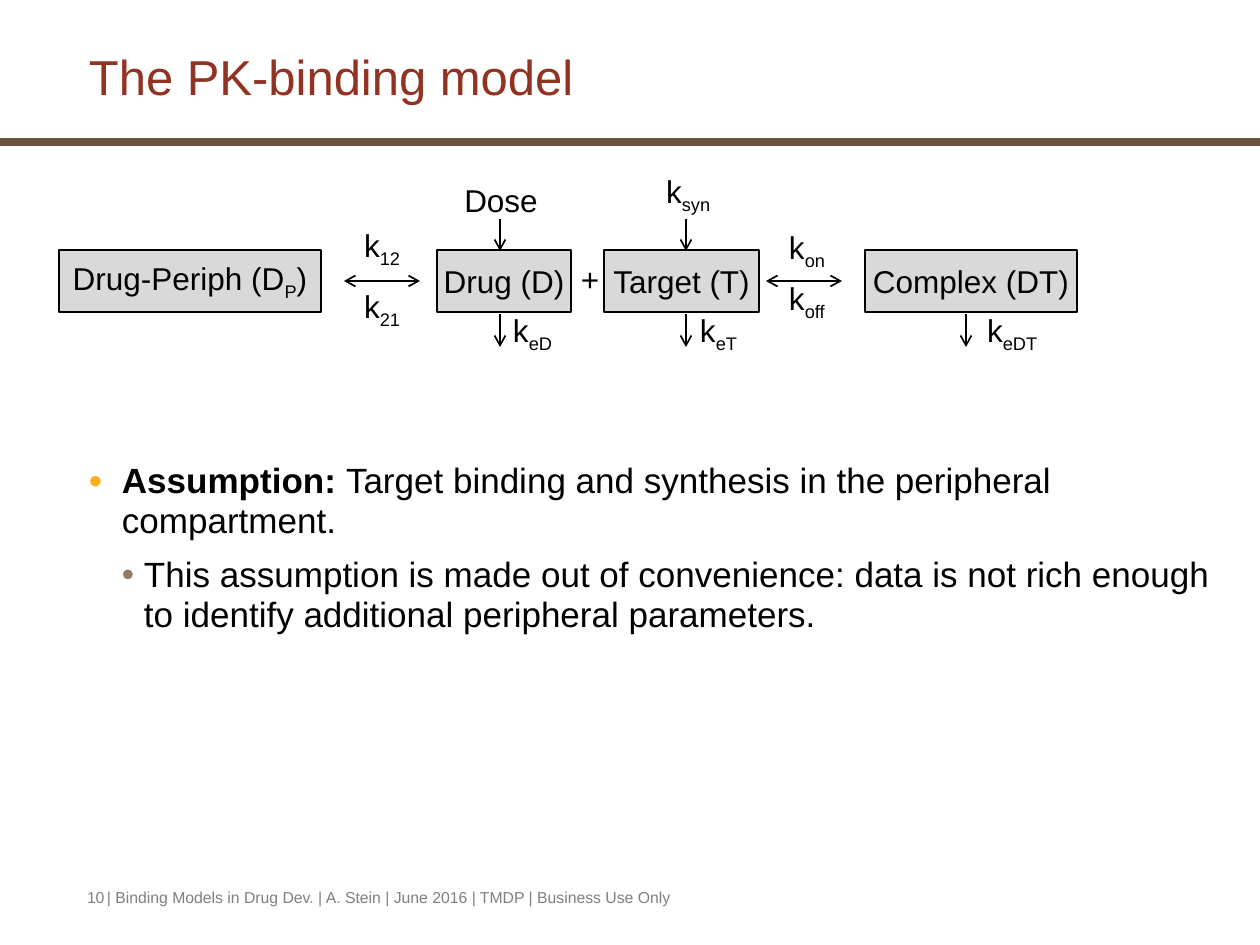
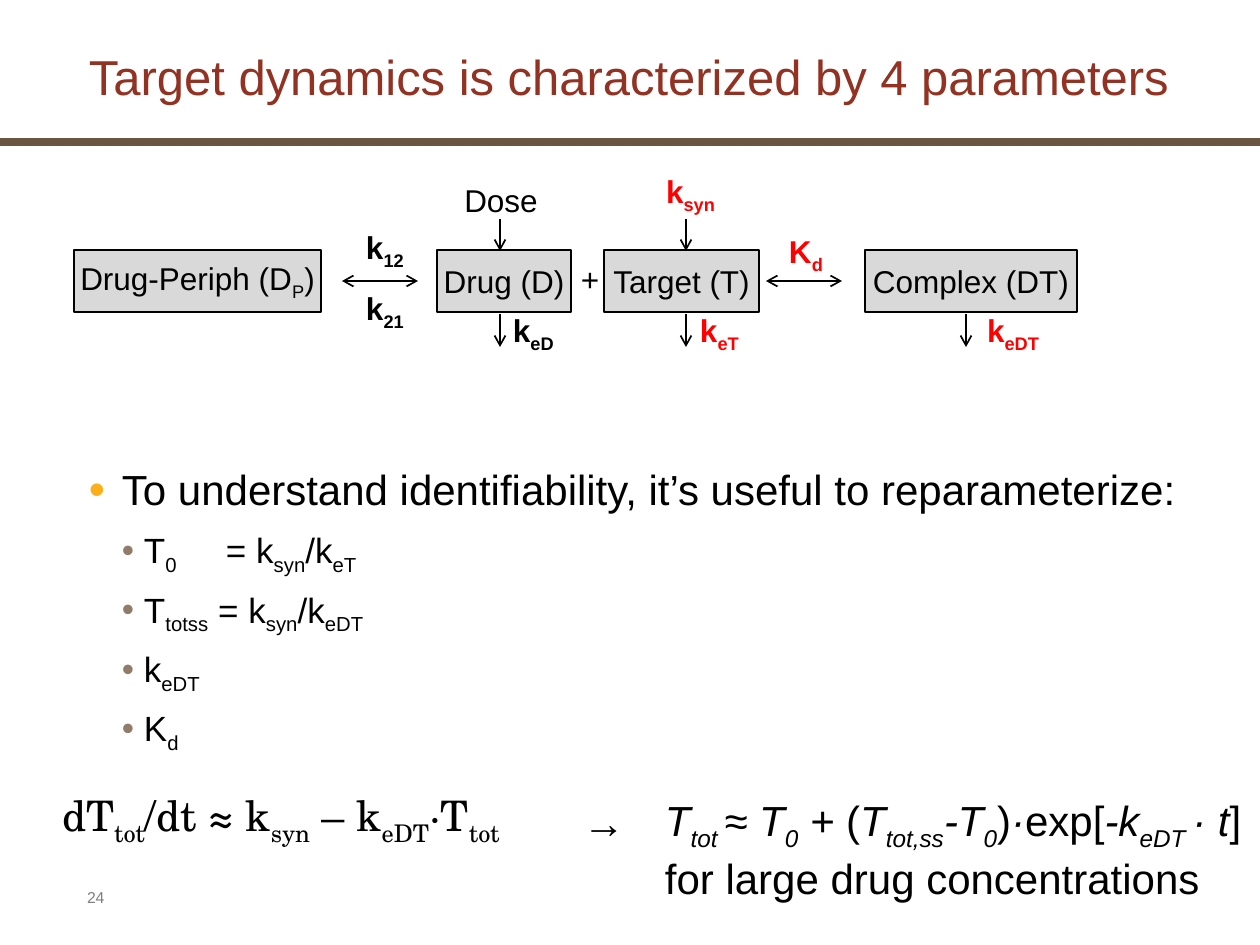
"""Build two slides on the PK-binding model and its target dynamics."""
from lxml import etree
from pptx import Presentation
from pptx.dml.color import RGBColor
from pptx.enum.shapes import MSO_CONNECTOR, MSO_SHAPE
from pptx.enum.text import MSO_ANCHOR, PP_ALIGN
from pptx.oxml.ns import qn
from pptx.util import Emu, Pt

EMU_PER_PX = 914400 / 126
SLIDE_WIDTH, SLIDE_HEIGHT = 1260, 945
STRAIGHT = MSO_CONNECTOR.STRAIGHT
RECTANGLE = MSO_SHAPE.RECTANGLE
TOP, MIDDLE = MSO_ANCHOR.TOP, MSO_ANCHOR.MIDDLE
LEFT, CENTER = PP_ALIGN.LEFT, PP_ALIGN.CENTER

FONT, FORMULA_FONT = "Arial", "TeX Gyre Schola"
BLACK, RED, GRAY = "000000", "FF0000", "7F7F7F"
TITLE_COLOR, BAND_COLOR, BOX_COLOR = "923222", "6A5540", "D9D9D9"
SUBSCRIPT = "-25000"
DEFAULT_INSETS = (13, 6)

BOX_TOP, BOX_HEIGHT = 250, 62
ARROW_Y = 281
ARROW_LENGTH = 76
PERIPHERY_RIGHT = 321
COMPARTMENTS = [("Drug (D)", 437, 134), ("Target (T)", 604, 155), ("Complex (DT)", 865, 212)]
INPUT_XS = (500, 686)
ELIMINATION_XS = (500, 686, 966)
RATE_PLACES = {
    "k_{syn}": (653, 166),
    "k_{eD}": (500, 305),
    "k_{eT}": (687, 305),
    "k_{eDT}": (974, 305),
    "k_{on}": (776, 222),
    "k_{off}": (776, 273),
    "K_{d}": (776, 226),
}

BULLETS = [
    {"indent": 33, "hanging": 33, "color": "FCAF17", "size": 110},
    {"indent": 55, "hanging": 22, "color": "917B69", "size": 100},
]


def px(length):
    """Turn a length in px into EMU."""
    return Emu(round(length * EMU_PER_PX))


def color(value):
    """Turn a hex string into a colour."""
    return RGBColor.from_string(value)


def add_runs(paragraph, text, size, text_color=BLACK, font=FONT, emphasis="bold"):
    """Write text where _{x} is a subscript and *x* is emphasised."""
    for index, piece in enumerate(text.split("*")):
        for part_index, part in enumerate(piece.replace("}", "_{").split("_{")):
            if not part:
                continue
            run = paragraph.add_run()
            run.text = part
            run.font.size = Pt(size)
            run.font.name = font
            run.font.color.rgb = color(text_color)
            if index % 2:
                setattr(run.font, emphasis, True)
            if part_index % 2:
                run.font._element.set("baseline", SUBSCRIPT)


def set_indent(paragraph, indent, hanging=0):
    """Set the left margin and the hanging first line of a paragraph."""
    properties = paragraph._p.get_or_add_pPr()
    properties.set("marL", str(px(indent)))
    properties.set("indent", str(-px(hanging)))


def add_bullet(paragraph, character, bullet_color=None, size=100):
    """Give a paragraph a bullet character."""
    properties = paragraph._p.get_or_add_pPr()
    if bullet_color:
        holder = etree.SubElement(properties, qn("a:buClr"))
        etree.SubElement(holder, qn("a:srgbClr"), val=bullet_color)
    etree.SubElement(properties, qn("a:buSzPct"), val=str(size * 1000))
    etree.SubElement(properties, qn("a:buFont"), typeface=FONT)
    etree.SubElement(properties, qn("a:buChar"), char=character)


def add_tab_stop(paragraph, position):
    """Give a paragraph one left tab stop."""
    tabs = etree.SubElement(paragraph._p.get_or_add_pPr(), qn("a:tabLst"))
    etree.SubElement(tabs, qn("a:tab"), pos=str(px(position)), algn="l")


def prepare_frame(shape, anchor=TOP, insets=DEFAULT_INSETS):
    """Set wrapping, anchor and insets, and return the text frame."""
    frame = shape.text_frame
    frame.word_wrap = True
    frame.vertical_anchor = anchor
    frame.margin_left = frame.margin_right = px(insets[0])
    frame.margin_top = frame.margin_bottom = px(insets[1])
    return frame


def add_frame(slide, left, top, width, height, anchor=TOP, insets=DEFAULT_INSETS):
    """Add an empty text box and return its text frame."""
    box = slide.shapes.add_textbox(px(left), px(top), px(width), px(height))
    return prepare_frame(box, anchor, insets)


def add_label(slide, text, left, top, width=120, height=50, size=18, align=LEFT, **style):
    """Add a text box holding one paragraph."""
    paragraph = add_frame(slide, left, top, width, height).paragraphs[0]
    paragraph.alignment = align
    add_runs(paragraph, text, size, **style)


def add_rectangle(slide, left, top, width, height, fill):
    """Add a plain filled rectangle without outline."""
    shape = slide.shapes.add_shape(RECTANGLE, px(left), px(top), px(width), px(height))
    shape.shadow.inherit = False
    shape.fill.solid()
    shape.fill.fore_color.rgb = color(fill)
    shape.line.fill.background()
    return shape


def add_compartment(slide, text, left, width):
    """Add an outlined box for one model compartment."""
    shape = add_rectangle(slide, left, BOX_TOP, width, BOX_HEIGHT, BOX_COLOR)
    shape.line.color.rgb = color(BLACK)
    shape.line.width = Pt(1)
    paragraph = prepare_frame(shape, MIDDLE, (0, 0)).paragraphs[0]
    paragraph.alignment = CENTER
    add_runs(paragraph, text, 18)


def add_arrow(slide, start, end, both_ways=False):
    """Add an arrow from start to end, with a second head if both ways."""
    connector = slide.shapes.add_connector(STRAIGHT, *map(px, start + end))
    connector.line.color.rgb = color(BLACK)
    connector.line.width = Pt(1)
    line = connector.line._get_or_add_ln()
    for tag in ("a:headEnd", "a:tailEnd") if both_ways else ("a:tailEnd",):
        etree.SubElement(line, qn(tag), type="arrow")
    etree.SubElement(connector._element.spPr, qn("a:effectLst"))


def add_exchange(slide, left):
    """Add a two-way arrow between neighbouring compartments."""
    add_arrow(slide, (left, ARROW_Y), (left + ARROW_LENGTH, ARROW_Y), both_ways=True)


def add_rate(slide, text, left, top, highlighted=(), bold=False):
    """Add a rate constant, red when it is highlighted."""
    rate_color = RED if text in highlighted else BLACK
    add_label(slide, f"*{text}*" if bold else text, left, top, text_color=rate_color)


def add_model(slide, periphery_left, exchange_left, exchange_rate_at, rates, **rate_style):
    """Draw the compartments, their arrows and their rate constants."""
    add_compartment(slide, "Drug-Periph (D_{P})", periphery_left, PERIPHERY_RIGHT - periphery_left)
    for text, left, width in COMPARTMENTS:
        add_compartment(slide, text, left, width)
    plus = add_frame(slide, 576, 260, 50, 38, MIDDLE, (5, 0))
    add_runs(plus.paragraphs[0], "+", 18)
    for left in (exchange_left, 766):
        add_exchange(slide, left)
    for x in INPUT_XS:
        add_arrow(slide, (x, 219), (x, 251))
    for x in ELIMINATION_XS:
        add_arrow(slide, (x, 314), (x, 347))
    add_label(slide, "Dose", 441, 175, align=CENTER)
    left, top = exchange_rate_at
    add_rate(slide, "k_{12}", left, top, **rate_style)
    add_rate(slide, "k_{21}", left, top + 61, **rate_style)
    for rate in rates:
        add_rate(slide, rate, *RATE_PLACES[rate], **rate_style)


def add_body(slide, top, height, items):
    """Add the bulleted body from (level, size, text) items."""
    frame = add_frame(slide, 76, top, 1148, height)
    for index, (level, size, text) in enumerate(items):
        paragraph = frame.add_paragraph() if index else frame.paragraphs[0]
        bullet = BULLETS[level]
        paragraph.level = level
        paragraph.line_spacing = 0.95
        paragraph.space_before = Pt(8 if index else 0)
        set_indent(paragraph, bullet["indent"], bullet["hanging"])
        add_bullet(paragraph, "•", bullet["color"], bullet["size"])
        if "\t" in text:
            add_tab_stop(paragraph, 137)
        add_runs(paragraph, text, size)


def add_solution(slide):
    """Add the approximate solution led by an arrow bullet."""
    frame = add_frame(slide, 570, 789, 690, 115)
    frame.margin_right = 0
    solution, condition = frame.paragraphs[0], frame.add_paragraph()
    set_indent(solution, 82, 82)
    add_bullet(solution, "→")
    add_runs(
        solution,
        "*T_{tot }≈ T_{0} + *(*T_{tot,ss}-T_{0}*)*·*exp[*-k_{eDT }· t*]",
        24,
        emphasis="italic",
    )
    set_indent(condition, 82)
    add_runs(condition, "for large drug concentrations", 24)


def add_base_slide(presentation, title, number):
    """Add a blank slide with the band, the title and the slide number."""
    slide = presentation.slides.add_slide(presentation.slide_layouts[6])
    add_rectangle(slide, 0, 138, SLIDE_WIDTH, 8, BAND_COLOR)
    heading = add_frame(slide, 76, 44, 1148, 69, MIDDLE).paragraphs[0]
    heading.line_spacing = 0.95
    add_runs(heading, title, 28, TITLE_COLOR)
    add_label(slide, number, 74, 882, 55, 34, 9, text_color=GRAY)
    return slide


def build_binding_slide(presentation):
    """Build the slide on the binding model."""
    slide = add_base_slide(presentation, "The PK-binding model", "10")
    footer = "| Binding Models in Drug Dev. | A. Stein | June 2016 | TMDP | Business Use Only"
    add_label(slide, footer, 94, 882, 892, 34, 9, text_color=GRAY)
    rates = ["k_{syn}", "k_{eD}", "k_{eT}", "k_{eDT}", "k_{on}", "k_{off}"]
    add_model(slide, 59, 344, (351, 220), rates)
    add_body(slide, 456, 190, [
        (0, 20, "*Assumption: *Target binding and synthesis in the peripheral compartment."),
        (1, 20, "This assumption is made out of convenience: data is not rich enough "
                "to identify additional peripheral parameters."),
    ])


def build_dynamics_slide(presentation):
    """Build the slide on the four target parameters."""
    title = "Target dynamics is characterized by 4 parameters"
    slide = add_base_slide(presentation, title, "24")
    rates = ["k_{syn}", "k_{eD}", "k_{eT}", "k_{eDT}", "K_{d}"]
    highlighted = ("k_{syn}", "k_{eT}", "k_{eDT}", "K_{d}")
    add_model(slide, 74, 342, (353, 222), rates, highlighted=highlighted, bold=True)
    add_body(slide, 461, 290, [
        (0, 24, "To understand identifiability, it’s useful to reparameterize:"),
        (1, 20, "T_{0}\t= k_{syn}/k_{eT}"),
        (1, 20, "T_{totss} = k_{syn}/k_{eDT}"),
        (1, 20, "k_{eDT}"),
        (1, 20, "K_{d}"),
    ])
    add_solution(slide)
    balance = "dT_{tot}/dt ≈ k_{syn} – k_{eDT}·T_{tot}"
    add_label(slide, balance, 49, 784, 520, 63, 24, font=FORMULA_FONT)


def main():
    """Build and save the presentation."""
    presentation = Presentation()
    presentation.slide_width = px(SLIDE_WIDTH)
    presentation.slide_height = px(SLIDE_HEIGHT)
    build_binding_slide(presentation)
    build_dynamics_slide(presentation)
    presentation.save("out.pptx")


if __name__ == "__main__":
    main()
